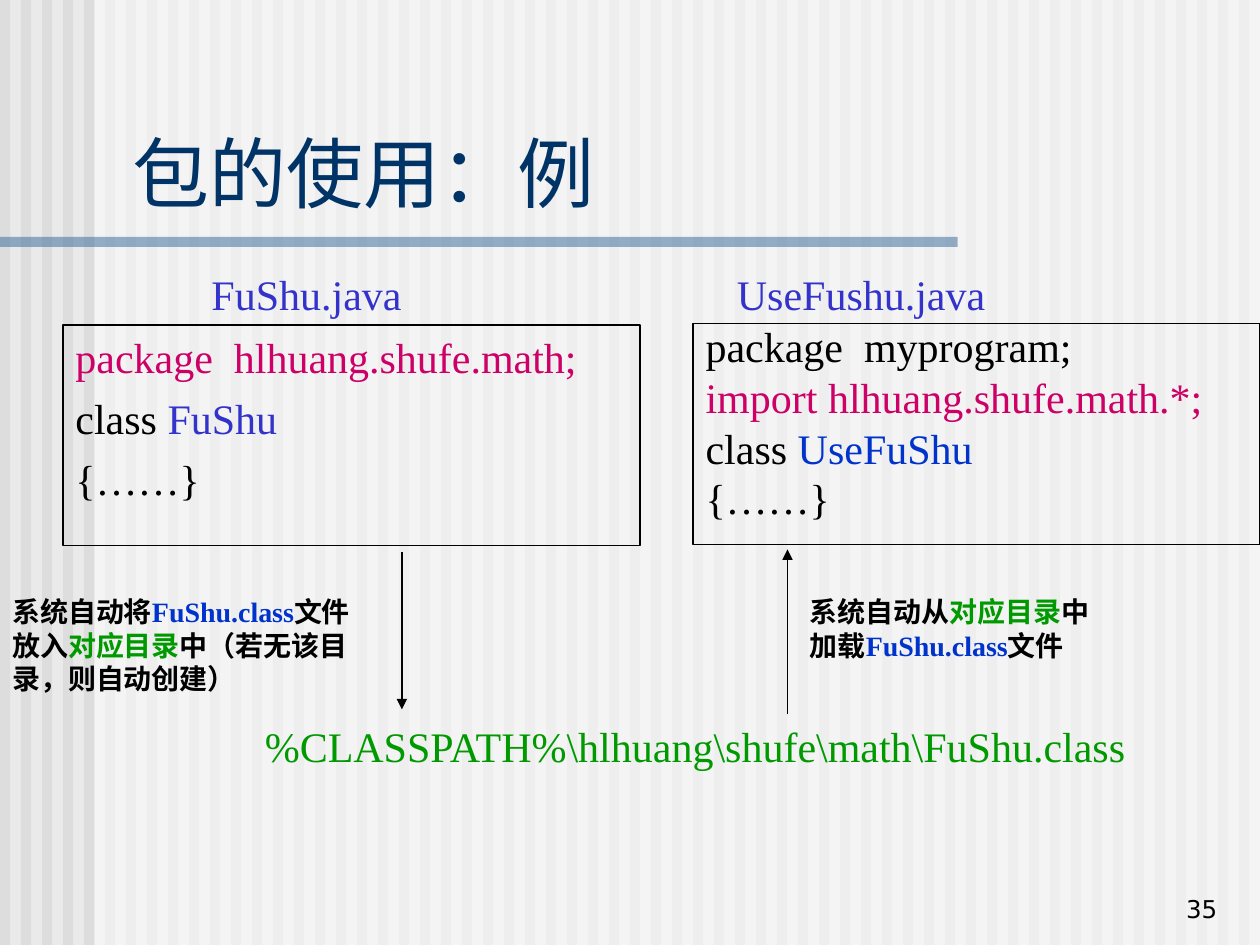
from pptx import Presentation
from pptx.dml.color import RGBColor
from pptx.enum import shapes, text
from pptx.oxml.ns import qn
from pptx.util import Inches, Pt
from lxml import etree

BLACK = RGBColor(0x00, 0x00, 0x00)
WHITE = RGBColor(0xFF, 0xFF, 0xFF)
PAPER = RGBColor(0xEA, 0xEA, 0xEA)
STRIPE = RGBColor(0xDD, 0xDD, 0xDD)
STEEL = RGBColor(0x33, 0x66, 0x99)
NAVY = RGBColor(0x00, 0x33, 0x66)
VIOLET = RGBColor(0x33, 0x33, 0xCC)
BLUE = RGBColor(0x00, 0x33, 0xCC)
PINK = RGBColor(0xCC, 0x00, 0x66)
GREEN = RGBColor(0x00, 0x99, 0x00)
SERIF, SANS = "Times New Roman", "DejaVu Sans"


def write(tf, lines, size=24, font=SERIF, bold=False, before=0, spacing=1.0,
          hang=0, align=text.PP_ALIGN.LEFT, anchor=text.MSO_ANCHOR.TOP, wrap=True):
    """Fill a text frame; each line is a list of (text, colour) runs."""
    tf.word_wrap = wrap
    tf.auto_size = text.MSO_AUTO_SIZE.NONE
    tf.vertical_anchor = anchor
    for i, line in enumerate(lines):
        p = tf.add_paragraph() if i else tf.paragraphs[0]
        p.alignment = align
        p.space_before, p.line_spacing = Pt(before), spacing
        pPr = p._p.get_or_add_pPr()
        pPr.set("marL", str(Inches(hang)))
        pPr.set("indent", str(-Inches(hang)))
        etree.SubElement(pPr, qn("a:buNone"))
        for words, color in line:
            r = p.add_run()
            r.text = words
            r.font.size, r.font.name, r.font.bold = Pt(size), font, bold
            r.font.color.rgb = color


def add_rect(parent, left, top, width, height, color, alpha=None):
    """Add a plain filled rectangle, with opacity in percent if given."""
    sp = parent.shapes.add_shape(shapes.MSO_SHAPE.RECTANGLE, Inches(left), Inches(top),
                                 Inches(width), Inches(height))
    sp.shadow.inherit = False
    sp.line.fill.background()
    sp.fill.solid()
    sp.fill.fore_color.rgb = color
    if alpha:
        clr = sp._element.spPr.find(".//" + qn("a:srgbClr"))
        etree.SubElement(clr, qn("a:alpha"), val=str(alpha * 1000))


prs = Presentation()
prs.slide_width, prs.slide_height = Inches(10), Inches(7.5)
s = prs.slides.add_slide(prs.slide_layouts[1])
s.background.fill.solid()
s.background.fill.fore_color.rgb = PAPER

# Striped backdrop, veil and rule, kept behind the placeholders
backdrop = s.shapes.add_group_shape()
s.shapes._spTree.insert(2, backdrop._element)
for i in range(60):
    add_rect(backdrop, i / 6, 0, 0.08, 7.5, STRIPE)
add_rect(backdrop, 0.75, 0, 9.25, 7.5, WHITE, alpha=50)
add_rect(backdrop, 0, 1.88, 7.6, 0.08, STEEL, alpha=50)

# Title
title = s.shapes.title
title.left, title.top, title.width, title.height = map(Inches, (0.95, 0.94, 8.93, 0.84))
write(title.text_frame, [[("包的使用：例", NAVY)]], size=44, font=SANS,
      anchor=text.MSO_ANCHOR.BOTTOM)

# Code boxes
user = s.placeholders[1]
user.left, user.top, user.width, user.height = map(Inches, (5.5, 2.57, 4.5, 1.75))
write(user.text_frame, [
    [("package  myprogram;", BLACK)],
    [("import hlhuang.shufe.math.*;", PINK)],
    [("class ", BLACK), ("UseFuShu", BLUE)],
    [("{……}", BLACK)],
], before=6, spacing=0.8, hang=0.38)

library = s.shapes.add_shape(shapes.MSO_SHAPE.RECTANGLE, Inches(0.5), Inches(2.58),
                             Inches(4.58), Inches(1.75))
library.shadow.inherit = False
write(library.text_frame, [
    [("package  hlhuang.shufe.math;", PINK)],
    [("class ", BLACK), ("FuShu", VIOLET)],
    [("{……}", BLACK)],
], before=6, hang=0.38)

for box in (user, library):
    box.fill.background()
    box.line.color.rgb = BLACK
    box.line.width = Pt(0.75)

# File names, class path, notes and page number
note = dict(size=16, bold=True, before=10)
labels = [
    (1.58, 2.08, 1.71, 0.5, [("FuShu.java", VIOLET)], dict(wrap=False)),
    (5.75, 2.08, 2.17, 0.5, [("UseFushu.java", VIOLET)], dict(wrap=False)),
    (1.92, 5.67, 7.92, 0.67,
     [(" ", GREEN), (r"%CLASSPATH%\hlhuang\shufe\math\FuShu.class", GREEN)],
     dict(before=6, hang=0.38)),
    (6.33, 4.67, 2.58, 0.64,
     [("系统自动从", BLACK), ("对应目录", GREEN), ("中加载", BLACK),
      ("FuShu.class", BLUE), ("文件", BLACK)], note),
    (0, 4.67, 3, 0.9,
     [("系统自动将", BLACK), ("FuShu.class", BLUE), ("文件放入", BLACK),
      ("对应目录", GREEN), ("中（若无该目录，则自动创建）", BLACK)], note),
    (7.68, 6.88, 2.08, 0.5, [("35", BLACK)],
     dict(size=14, font=SANS, align=text.PP_ALIGN.RIGHT, anchor=text.MSO_ANCHOR.BOTTOM)),
]
for left, top, width, height, runs, style in labels:
    tb = s.shapes.add_textbox(Inches(left), Inches(top), Inches(width), Inches(height))
    write(tb.text_frame, [runs], **style)

# Arrows between the code and the class file
for x, start, end in ((3.19, 4.38, 5.63), (6.25, 5.67, 4.36)):
    arrow = s.shapes.add_connector(shapes.MSO_CONNECTOR.STRAIGHT, Inches(x), Inches(start),
                                   Inches(x), Inches(end))
    arrow.line.color.rgb = BLACK
    arrow.line.width = Pt(0.75)
    etree.SubElement(arrow.line._get_or_add_ln(), qn("a:tailEnd"), type="triangle")
    etree.SubElement(arrow._element.spPr, qn("a:effectLst"))

prs.save("out.pptx")
